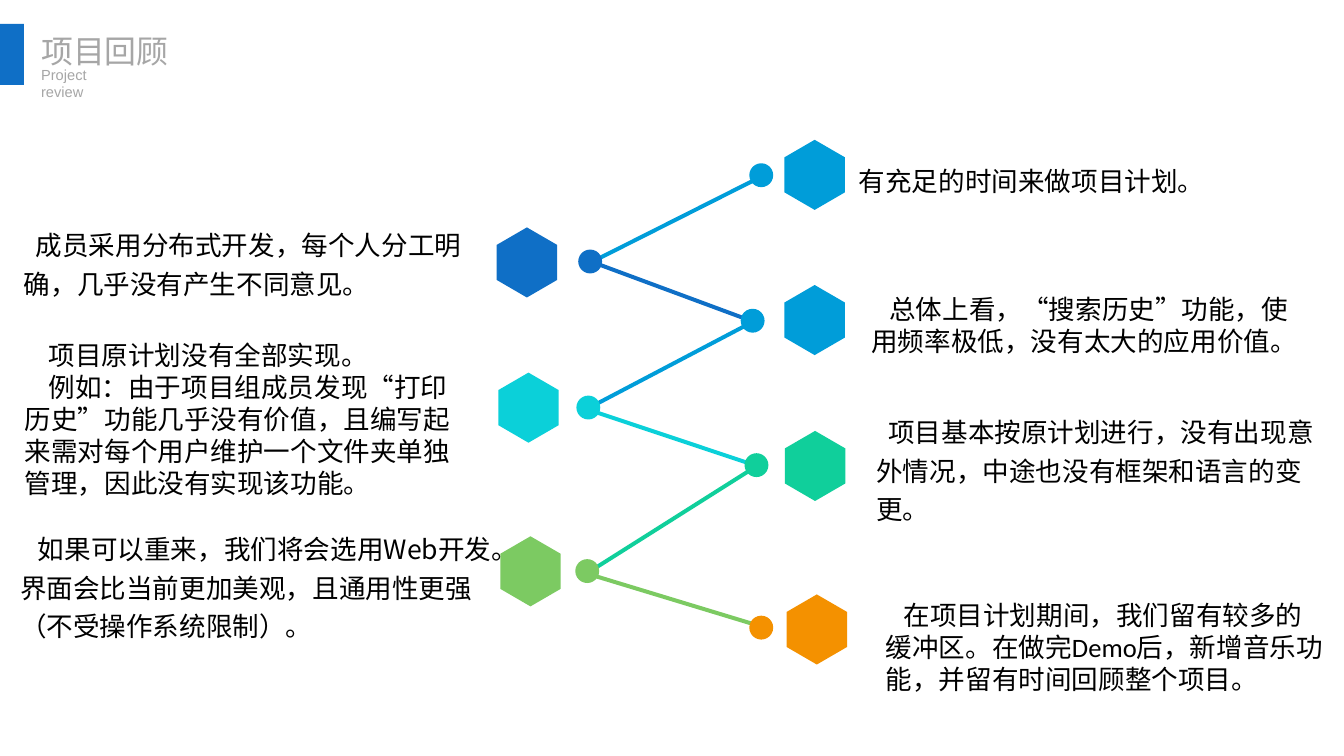
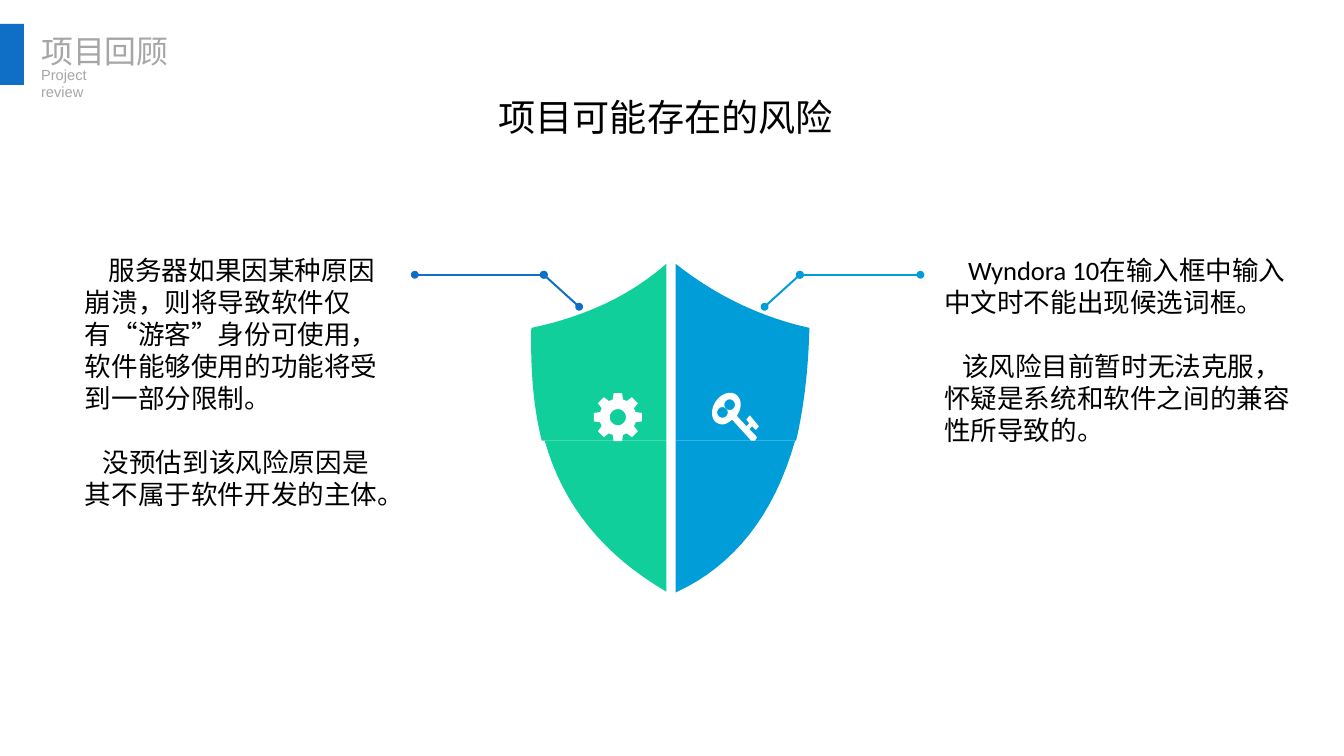
from dataclasses import dataclass
from itertools import pairwise
from math import cos, radians, sin

from lxml.etree import SubElement
from pptx import Presentation
from pptx.dml.color import RGBColor
from pptx.enum.shapes import MSO_CONNECTOR as Connector, MSO_SHAPE as Preset
from pptx.oxml.ns import qn
from pptx.shapes.autoshape import Shape
from pptx.slide import Slide
from pptx.util import Pt

BLUE, SKY, CYAN = "0F6FC6", "009DD9", "0BD0D9"
GREEN, LIME, ORANGE = "10CF9B", "7CCA62", "F49100"
WHITE, BLACK, GREY = "FFFFFF", "000000", "A6A6A6"
CJK, LATIN = "Noto Sans CJK SC", "Calibri"
LINE_PITCH = 1.207
HEX_W, HEX_H, DOT = 45.5, 52.8, 18

Point = tuple[float, float]
Contour = list[Point]


@dataclass(frozen=True)
class Style:
    font: str
    size: float
    color: str = BLACK
    spacing: float = 1.0
    insets: tuple[float, float, float, float] = (0, 2, 0, 0)


@dataclass(frozen=True)
class Passage:
    """A text box: left, top, width, height and (first-line indent, text) pairs."""
    box: tuple[float, float, float, float]
    style: Style
    paragraphs: tuple[tuple[float, str], ...]
    gap: float = 0
    wrap: bool = True


@dataclass(frozen=True)
class Node:
    color: str
    hexagon: Point
    dot: Point
    joint: Point


@dataclass(frozen=True)
class Callout:
    color: str
    route: tuple[Point, Point, Point]


HEADING = Style(CJK, 24, GREY, insets=(0, 2.5, 0, 0))
LOOSE = Style(CJK, 20, spacing=1.2)
PLAIN = Style(LATIN, 20, insets=(7.2, 6.2, 7.2, 3.6))
RISK_TITLE = Style(LATIN, 28, insets=(7.2, 6.8, 7.2, 3.6))

NODES = [
    Node(SKY, (591, 105.3), (564.5, 123), (576, 131.8)),
    Node(BLUE, (374.2, 171.3), (435.6, 188), (446, 197.3)),
    Node(SKY, (591, 214.7), (558, 232.6), (567.4, 242.3)),
    Node(CYAN, (375.4, 280.7), (434.2, 298), (442, 308.2)),
    Node(GREEN, (591.3, 324.6), (560.9, 341.4), (570.2, 351)),
    Node(LIME, (376.9, 404), (433.4, 421.2), (442, 432)),
    Node(ORANGE, (592.6, 447.8), (564.5, 463.8), (572.4, 471.6)),
]

REVIEW = [
    Passage((638, 117.4, 275.8, 28.8), LOOSE, ((9, "有充足的时间来做项目计划。"),)),
    Passage((18, 165.6, 343.4, 58.3), LOOSE,
            ((9, "成员采用分布式开发，每个人分工明确，几乎没有产生不同意见。"),)),
    Passage((11.5, 249.1, 350, 128.2), PLAIN, (
        (18, "项目原计划没有全部实现。"),
        (18, "例如：由于项目组成员发现“打印历史”功能几乎没有价值，且编写起来需对每个用户维护"
             "一个文件夹单独管理，因此没有实现该功能。"))),
    Passage((649.4, 214.6, 347, 55.4), PLAIN,
            ((13.5, "总体上看，“搜索历史”功能，使用频率极低，没有太大的应用价值。"),)),
    Passage((660.2, 306.7, 336.2, 87.1), LOOSE,
            ((9, "项目基本按原计划进行，没有出现意外情况，中途也没有框架和语言的变更。"),)),
    Passage((15.1, 394.6, 359.3, 87.1), LOOSE,
            ((13.5, "如果可以重来，我们将会选用Web开发。界面会比当前更加美观，且通用性更强"
                    "（不受操作系统限制）。"),)),
    Passage((660.2, 445, 347, 79.9), PLAIN,
            ((13.5, "在项目计划期间，我们留有较多的缓冲区。在做完Demo后，新增音乐功能，"
                    "并留有时间回顾整个项目。"),)),
]

RISKS = [
    Passage((368.6, 64.1, 275.8, 41), RISK_TITLE, ((0, "项目可能存在的风险"),)),
    Passage((56.9, 185, 244.8, 200.9), PLAIN, (
        (18, "服务器如果因某种原因崩溃，则将导致软件仅有“游客”身份可使用，"
             "软件能够使用的功能将受到一部分限制。"),
        (13.5, "没预估到该风险原因是其不属于软件开发的主体。")), gap=24.1),
    Passage((704.2, 185, 277.9, 152.6), PLAIN, (
        (18, "Wyndora 10在输入框中输入中文时不能出现候选词框。"),
        (13.5, "该风险目前暂时无法克服，怀疑是系统和软件之间的兼容性所导致的。")), gap=24.1),
]

CALLOUTS = [
    Callout(BLUE, ((436.3, 231.1), (409.7, 207), (312.5, 207))),
    Callout(SKY, ((576, 231.1), (602.6, 207), (693.4, 207))),
]


def rgb(color: str) -> RGBColor:
    return RGBColor.from_string(color)


def paint(shape: Shape, color: str) -> None:
    shape.shadow.inherit = False
    shape.fill.solid()
    shape.fill.fore_color.rgb = rgb(color)
    shape.line.fill.background()


def add_preset(slide: Slide, kind: Preset, left: float, top: float,
               width: float, height: float, color: str) -> None:
    paint(slide.shapes.add_shape(kind, Pt(left), Pt(top), Pt(width), Pt(height)), color)


def add_outline(slide: Slide, color: str, *contours: Contour) -> None:
    """Fill closed contours as one shape; inner contours become holes."""
    scaled = [[(Pt(x), Pt(y)) for x, y in contour] for contour in contours]
    builder = slide.shapes.build_freeform(*scaled[0][0])
    for index, (start, *rest) in enumerate(scaled):
        if index:
            builder.move_to(*start)
        builder.add_line_segments(rest, close=True)
    paint(builder.convert_to_shape(), color)


def add_line(slide: Slide, begin: Point, end: Point, color: str,
             width: float, oval_ends: bool = False) -> None:
    line = slide.shapes.add_connector(
        Connector.STRAIGHT, *(Pt(value) for value in begin + end))
    line.line.color.rgb = rgb(color)
    line.line.width = Pt(width)
    if oval_ends:
        stroke = line.line._get_or_add_ln()
        for tag in ("a:headEnd", "a:tailEnd"):
            SubElement(stroke, qn(tag)).set("type", "oval")
    SubElement(line._element.spPr, qn("a:effectLst"))


def add_passage(slide: Slide, passage: Passage) -> None:
    style = passage.style
    frame = slide.shapes.add_textbox(*(Pt(value) for value in passage.box)).text_frame
    frame.word_wrap = passage.wrap
    (frame.margin_left, frame.margin_top,
     frame.margin_right, frame.margin_bottom) = (Pt(value) for value in style.insets)
    frame.text = "\n".join(text for _, text in passage.paragraphs)
    for index, paragraph in enumerate(frame.paragraphs):
        paragraph.line_spacing = Pt(style.size * LINE_PITCH * style.spacing)
        paragraph.space_before = Pt(passage.gap if index else 0)
        indent = passage.paragraphs[index][0]
        paragraph._p.get_or_add_pPr().set("indent", str(Pt(indent)))
        for run in paragraph.runs:
            run.font.name = style.font
            run.font.size = Pt(style.size)
            run.font.color.rgb = rgb(style.color)
            SubElement(run.font._element, qn("a:ea")).set("typeface", CJK)


def add_header(slide: Slide) -> None:
    add_preset(slide, Preset.RECTANGLE, 0, 18, 18, 46, BLUE)
    add_passage(slide, Passage((31, 20.9, 96, 28.8), HEADING,
                               ((0, "项目回顾"),), wrap=False))
    add_passage(slide, Passage((31, 50.4, 69, 13), Style("Arial", 11, GREY, 0.95, (0, 0, 0, 0)),
                               ((0, "Project review"),)))


def trace(start: Point, *segments: tuple[Point, ...]) -> Contour:
    """Follow one-point segments as lines and three-point segments as Bézier curves."""
    points = [start]
    for segment in segments:
        if len(segment) == 1:
            points.append(segment[0])
            continue
        curve = (points[-1], *segment)
        for step in range(1, 17):
            t = step / 16
            weights = ((1 - t) ** 3, 3 * t * (1 - t) ** 2, 3 * t * t * (1 - t), t ** 3)
            points.append((sum(w * x for w, (x, _) in zip(weights, curve)),
                           sum(w * y for w, (_, y) in zip(weights, curve))))
    return points


def polar(center: Point, radius: float, degrees: float) -> Point:
    angle = radians(degrees)
    return center[0] + radius * cos(angle), center[1] + radius * sin(angle)


def circle(center: Point, radius: float) -> Contour:
    return [polar(center, radius, degrees) for degrees in range(0, 360, 10)]


def add_hexagon(slide: Slide, left: float, top: float, color: str) -> None:
    corners = ((0.5, 0), (1, 0.25), (1, 0.75), (0.5, 1), (0, 0.75), (0, 0.25))
    add_outline(slide, color, [(left + x * HEX_W, top + y * HEX_H) for x, y in corners])


def add_shield(slide: Slide) -> None:
    add_outline(slide, GREEN, trace(
        (400.3, 247), ((442.1, 238.3), (475.9, 221.8), (502, 198.7)),
        ((502, 332),), ((408.2, 332),), ((401.8, 306.7), (399.6, 277.9), (400.3, 247))))
    add_outline(slide, SKY, trace(
        (599.8, 332), ((509, 332),), ((509, 198.7),),
        ((540, 223.2), (573.8, 239), (609.8, 247)),
        ((609.1, 278.6), (605.5, 307.4), (599.8, 332))))
    add_outline(slide, GREEN, trace(
        (502, 332), ((502, 445.7),), ((455, 418.3), (424.1, 380.9), (410.4, 332))))
    add_outline(slide, SKY, trace(
        (509, 332), ((599, 332),), ((583.2, 388), (553, 426.2), (509, 446.4))))


def add_gear(slide: Slide) -> None:
    center = (465.5, 314.3)
    tooth = ((13.9, -16), (18.4, -10), (18.4, 10), (13.9, 16))
    rim = [polar(center, radius, turn + offset)
           for turn in range(0, 360, 45) for radius, offset in tooth]
    add_outline(slide, WHITE, rim, circle(center, 6.1))


def add_key(slide: Slide) -> None:
    bow = trace(
        (551.5, 316.1), ((549.4, 318.2), (546.5, 319.7), (544.3, 319.7)),
        ((539.3, 319.7), (536.4, 316.1), (536.4, 311)),
        ((536.4, 303.8), (542.9, 295.9), (550.1, 295.9)),
        ((554.4, 295.9), (558, 299.5), (558, 304.6)),
        ((558, 308.2), (556.6, 311), (555.1, 313.2)))
    blade = [(562.3, 321.1), (564.5, 319), (562.3, 316.1), (564.5, 313.2), (565.2, 313.2),
             (571.7, 321.1), (569.5, 324), (566.6, 321.1), (564.5, 323.3), (569.5, 328.3),
             (570.2, 329.8), (568.8, 331.9), (565.9, 331.9)]
    add_outline(slide, WHITE, bow + blade,
                circle((549.7, 304.9), 4), circle((544.3, 310.7), 4))


def build_review(slide: Slide) -> None:
    for node, following in pairwise(NODES):
        add_line(slide, node.joint, following.joint, node.color, 3)
    for node in NODES:
        add_hexagon(slide, *node.hexagon, node.color)
        add_preset(slide, Preset.OVAL, *node.dot, DOT, DOT, node.color)
    add_header(slide)
    for passage in REVIEW:
        add_passage(slide, passage)


def build_risks(slide: Slide) -> None:
    add_shield(slide)
    add_gear(slide)
    add_key(slide)
    for callout in CALLOUTS:
        for begin, end in pairwise(callout.route):
            add_line(slide, begin, end, callout.color, 1.5, oval_ends=True)
    add_header(slide)
    for passage in RISKS:
        add_passage(slide, passage)


def main() -> None:
    deck = Presentation()
    deck.slide_width, deck.slide_height = Pt(1012.5), Pt(569.5)
    blank = deck.slide_layouts[6]
    for build in (build_review, build_risks):
        build(deck.slides.add_slide(blank))
    deck.save("out.pptx")


if __name__ == "__main__":
    main()
